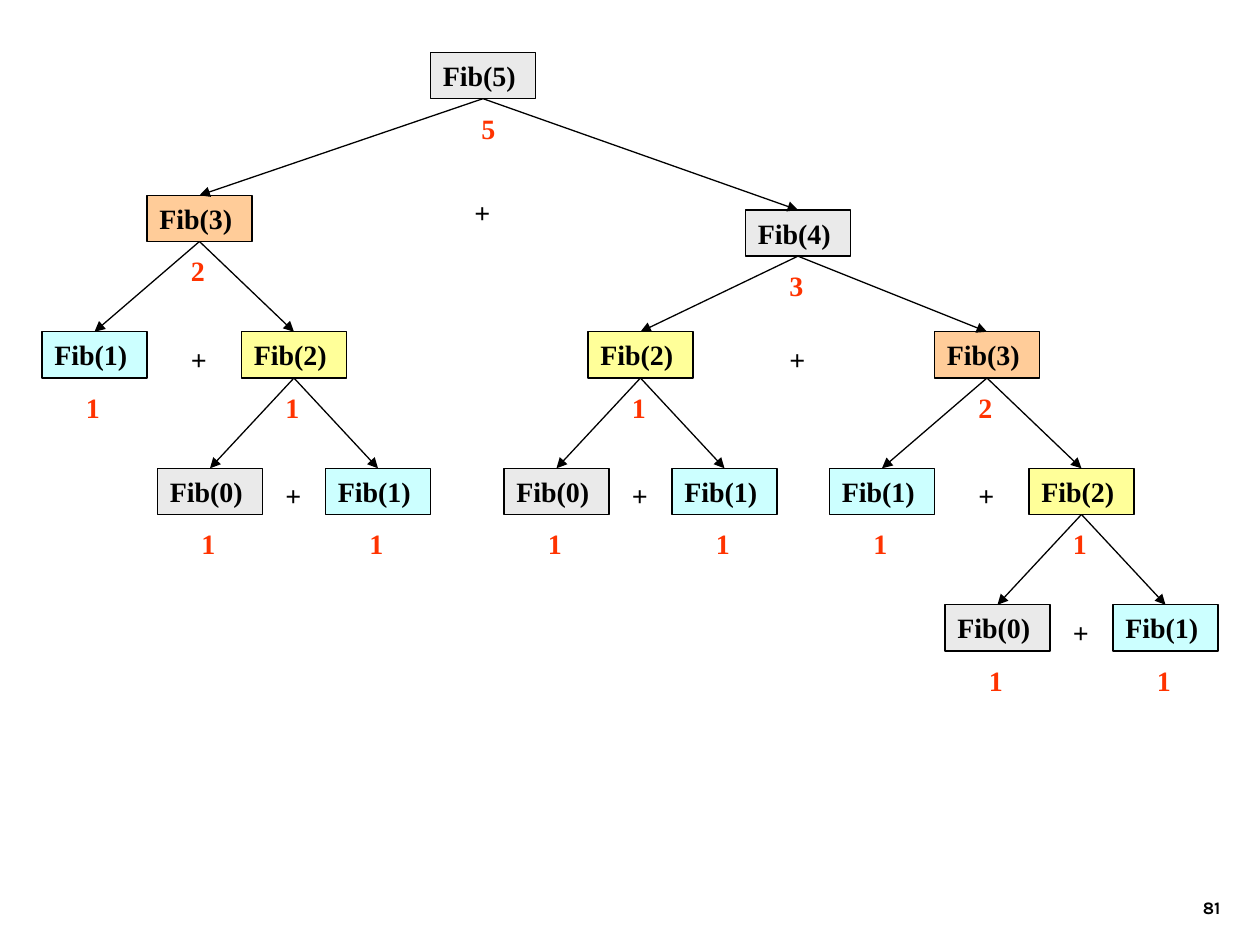
from dataclasses import dataclass

from lxml.etree import SubElement
from pptx import Presentation
from pptx.dml.color import RGBColor
from pptx.enum.shapes import MSO_CONNECTOR, MSO_SHAPE
from pptx.enum.text import MSO_ANCHOR, PP_ALIGN
from pptx.oxml.ns import qn
from pptx.util import Inches, Pt


@dataclass
class Call:
    """One call in the recursion tree, placed by grid column and row."""
    number: int
    value: str
    column: float
    row: float
    children: tuple = ()
    plus_drop: float = 0.4     # rows from the top of the first child to its plus
    value_indent: float = 0


@dataclass(frozen=True)
class Theme:
    tree_font: str = "Times New Roman"
    number_font: str = "Karla"
    tree_size: int = 16
    number_size: int = 10
    ink: str = "000000"
    result: str = "FF3300"
    fills: tuple = ("EAEAEA", "CCFFFF", "FFFF99", "FFCC99", "EAEAEA", "EAEAEA")
    line_width: float = 0.75


THEME = Theme()
SLIDE_NUMBER = "81"

UNIT = Inches(10) / 120        # the slide is 120 columns by 90 rows
BOX_WIDTH, BOX_HEIGHT = 10, 4.4
LEVELS = [5] + [18.6 + 13 * step for step in range(4)]
FIB_4_ROW = 20


def fib_2(column, level):
    """Fib(2) with its two leaves, eight columns to either side and one level down."""
    leaves = (Call(0, "1", column - 8, LEVELS[level + 1]),
              Call(1, "1", column + 8, LEVELS[level + 1]))
    return Call(2, "1", column, LEVELS[level], leaves)


def fib_3(column, row, level):
    """Fib(3) with Fib(1) ten columns to the left and Fib(2) nine to the right."""
    children = (Call(1, "1", column - 10, LEVELS[level + 1]),
                fib_2(column + 9, level + 1))
    return Call(3, "2", column, row, children)


TREE = Call(5, "5", 41, LEVELS[0], (
    fib_3(14, LEVELS[1], 1),
    Call(4, "3", 71, FIB_4_ROW, (fib_2(56, 2), fib_3(89, LEVELS[2], 2))),
), plus_drop=-0.6, value_indent=0.66)


def place(*cells):
    return [round(cell * UNIT) for cell in cells]


def write(shape, text, color, font=THEME.tree_font, size=THEME.tree_size,
          align=PP_ALIGN.LEFT, anchor=MSO_ANCHOR.TOP):
    frame = shape.text_frame
    frame.word_wrap = True
    frame.vertical_anchor = anchor
    frame.text = text
    paragraph = frame.paragraphs[0]
    paragraph.alignment = align
    run_font = paragraph.runs[0].font
    run_font.name = font
    run_font.size = Pt(size)
    run_font.bold = True
    run_font.color.rgb = RGBColor.from_string(color)


def add_label(slide, text, color, column, row, width):
    label = slide.shapes.add_textbox(*place(column, row, width, BOX_HEIGHT))
    write(label, text, color)


def add_box(slide, call):
    box = slide.shapes.add_shape(
        MSO_SHAPE.RECTANGLE, *place(call.column, call.row, BOX_WIDTH, BOX_HEIGHT))
    box.shadow.inherit = False
    box.fill.solid()
    box.fill.fore_color.rgb = RGBColor.from_string(THEME.fills[call.number])
    box.line.color.rgb = RGBColor.from_string(THEME.ink)
    box.line.width = Pt(THEME.line_width)
    write(box, f"Fib({call.number})", THEME.ink)
    return box


def add_arrow(slide, parent, child):
    arrow = slide.shapes.add_connector(MSO_CONNECTOR.STRAIGHT, 0, 0, 0, 0)
    arrow.begin_connect(parent, 2)
    arrow.end_connect(child, 0)
    arrow.line.color.rgb = RGBColor.from_string(THEME.ink)
    arrow.line.width = Pt(THEME.line_width)
    SubElement(arrow.line._get_or_add_ln(), qn("a:tailEnd"), type="triangle")
    SubElement(arrow._element.spPr, qn("a:effectLst"))


def add_tree(slide, call):
    """Draw a call with everything below it and return its box."""
    box = add_box(slide, call)
    add_label(slide, call.value, THEME.result,
              call.column + 3 + call.value_indent, call.row + 5, 5)
    for child in call.children:
        add_arrow(slide, box, add_tree(slide, child))
    if call.children:
        add_label(slide, "+", THEME.ink, call.column + 3,
                  call.children[0].row + call.plus_drop, 4)
    return box


def main():
    presentation = Presentation()
    presentation.slide_width, presentation.slide_height = Inches(10), Inches(7.5)
    slide = presentation.slides.add_slide(presentation.slide_layouts[6])
    add_tree(slide, TREE)
    number = slide.shapes.add_textbox(*place(92.4, 82, 25, 6))
    write(number, SLIDE_NUMBER, THEME.ink, THEME.number_font, THEME.number_size,
          PP_ALIGN.RIGHT, MSO_ANCHOR.BOTTOM)
    presentation.save("out.pptx")


if __name__ == "__main__":
    main()
